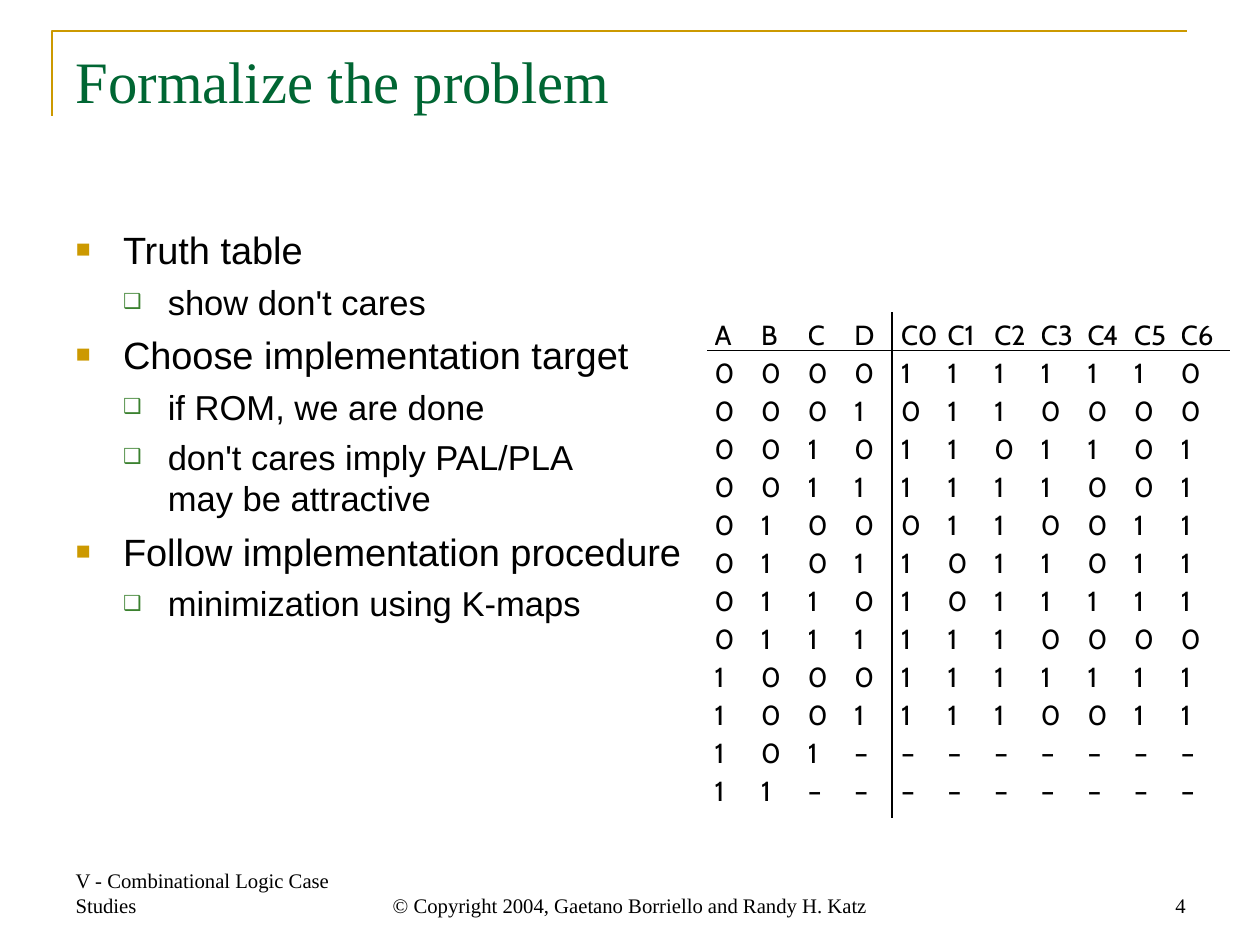
from dataclasses import dataclass

from lxml.etree import SubElement
from pptx import Presentation
from pptx.dml.color import RGBColor
from pptx.enum.shapes import MSO_CONNECTOR
from pptx.enum.text import MSO_ANCHOR, MSO_AUTO_SIZE, PP_ALIGN
from pptx.oxml.ns import qn
from pptx.util import Inches, Pt


@dataclass(frozen=True)
class Theme:
    ink: str = "000000"
    heading: str = "006633"
    gold: str = "CC9900"
    leaf: str = "3B812F"
    serif: str = "Times New Roman"
    sans: str = "Arial"
    table_font: str = "Cabin"
    title_size: int = 34
    list_sizes: tuple = (22, 20)
    table_size: int = 16
    footer_size: int = 12


@dataclass(frozen=True)
class Bullet:
    symbol: str
    color: str
    percent: int
    margin: float
    hanging: float
    space: float


class SlideBuilder:
    def __init__(self, deck, theme):
        self.theme = theme
        self.page = deck.slides.add_slide(deck.slide_layouts[1])
        self.bullets = (
            Bullet("■", theme.gold, 65, 0.38, 0.38, 5.5),
            Bullet("❑", theme.leaf, 60, 0.74, 0.36, 5),
        )

    def style(self, para, font, size, color):
        for span in para.runs:
            span.font.name = font
            span.font.size = Pt(size)
            span.font.color.rgb = RGBColor.from_string(color)

    def place(self, box, left, top, width, height):
        box.left, box.top = Inches(left), Inches(top)
        box.width, box.height = Inches(width), Inches(height)
        frame = box.text_frame
        frame.word_wrap = True
        frame.auto_size = MSO_AUTO_SIZE.NONE
        frame.vertical_anchor = MSO_ANCHOR.TOP
        return frame

    def title(self, text, *bounds):
        frame = self.place(self.page.shapes.title, *bounds)
        frame.text = text
        para = frame.paragraphs[0]
        para.alignment = PP_ALIGN.LEFT
        self.style(para, self.theme.serif, self.theme.title_size, self.theme.heading)

    def add_bullet(self, para, bullet):
        properties = para._p.get_or_add_pPr()
        properties.set("marL", str(Inches(bullet.margin)))
        properties.set("indent", str(-Inches(bullet.hanging)))
        color = SubElement(properties, qn("a:buClr"))
        SubElement(color, qn("a:srgbClr")).set("val", bullet.color)
        SubElement(properties, qn("a:buSzPct")).set("val", str(bullet.percent * 1000))
        SubElement(properties, qn("a:buFont")).set("typeface", self.theme.sans)
        SubElement(properties, qn("a:buChar")).set("char", bullet.symbol)

    def bullet_list(self, items, *bounds):
        frame = self.place(self.page.placeholders[1], *bounds)
        for index, (level, text) in enumerate(items):
            para = frame.paragraphs[0] if index == 0 else frame.add_paragraph()
            bullet = self.bullets[level]
            para.text = text
            para.level = level
            self.add_bullet(para, bullet)
            para.space_before = Pt(bullet.space if index else 0)
            self.style(para, self.theme.sans, self.theme.list_sizes[level], self.theme.ink)

    def footer(self, text, alignment, *bounds):
        box = self.page.shapes.add_textbox(0, 0, 0, 0)
        frame = self.place(box, *bounds)
        frame.vertical_anchor = MSO_ANCHOR.BOTTOM
        frame.text = text
        para = frame.paragraphs[0]
        para.alignment = alignment
        self.style(para, self.theme.serif, self.theme.footer_size, self.theme.ink)

    def table(self, rows, left, top, width):
        columns = len(rows[0])
        grid = self.page.shapes.add_table(
            len(rows), columns, Inches(left), Inches(top), Inches(width), Pt(22) * len(rows)
        ).table
        grid.first_row = False
        grid.horz_banding = False
        for row, values in zip(grid.rows, rows):
            row.height = Pt(22)
            for cell, value in zip(row.cells, values):
                cell.fill.background()
                cell.margin_left = cell.margin_right = 0
                cell.margin_top = cell.margin_bottom = 0
                cell.vertical_anchor = MSO_ANCHOR.MIDDLE
                cell.text_frame.text = value
                para = cell.text_frame.paragraphs[0]
                self.style(para, self.theme.table_font, self.theme.table_size, self.theme.ink)

    def rule(self, *ends):
        line = self.page.shapes.add_connector(
            MSO_CONNECTOR.STRAIGHT, *(Inches(value) for value in ends)
        )
        line.line.width = Pt(1)
        line.line.color.rgb = RGBColor.from_string(self.theme.ink)
        SubElement(line._element.spPr, qn("a:effectLst"))

    def corner(self, left, top, right, bottom):
        outline = self.page.shapes.build_freeform(Inches(left), Inches(bottom))
        outline.add_line_segments(
            [(Inches(left), Inches(top)), (Inches(right), Inches(top))], close=False
        )
        shape = outline.convert_to_shape()
        shape.shadow.inherit = False
        shape.fill.background()
        shape.line.width = Pt(1.5)
        shape.line.color.rgb = RGBColor.from_string(self.theme.gold)


ITEMS = (
    (0, "Truth table"),
    (1, "show don't cares"),
    (0, "Choose implementation target"),
    (1, "if ROM, we are done"),
    (1, "don't cares imply PAL/PLA\nmay be attractive"),
    (0, "Follow implementation procedure"),
    (1, "minimization using K-maps"),
)

TRUTH_ROWS = (
    "00001111110",
    "00010110000",
    "00101101101",
    "00111111001",
    "01000110011",
    "01011011011",
    "01101011111",
    "01111110000",
    "10001111111",
    "10011110011",
    "101––––––––",
    "11–––––––––",
)


def main():
    deck = Presentation()
    deck.slide_width = Pt(730)
    deck.slide_height = Pt(547.25)
    builder = SlideBuilder(deck, Theme())
    builder.corner(0.42, 0.25, 9.55, 0.93)
    builder.title("Formalize the problem", 0.51, 0.31, 9.12, 1.26)
    builder.bullet_list(ITEMS, 0.51, 1.77, 9.12, 5.02)
    header = [*"ABCD", *(f"C{number}" for number in range(7))]
    builder.table([header, *TRUTH_ROWS], 5.75, 2.55, 4.13)
    builder.rule(5.69, 2.82, 9.9, 2.82)
    builder.rule(7.18, 2.51, 7.18, 6.58)
    builder.footer("V - Combinational Logic Case Studies", PP_ALIGN.LEFT, 0.51, 6.92, 2.37, 0.51)
    builder.footer(
        "© Copyright 2004, Gaetano Borriello and Randy H. Katz",
        PP_ALIGN.CENTER, 2.96, 6.92, 4.22, 0.51,
    )
    builder.footer("4", PP_ALIGN.RIGHT, 7.27, 6.92, 2.37, 0.51)
    deck.save("out.pptx")


if __name__ == "__main__":
    main()
